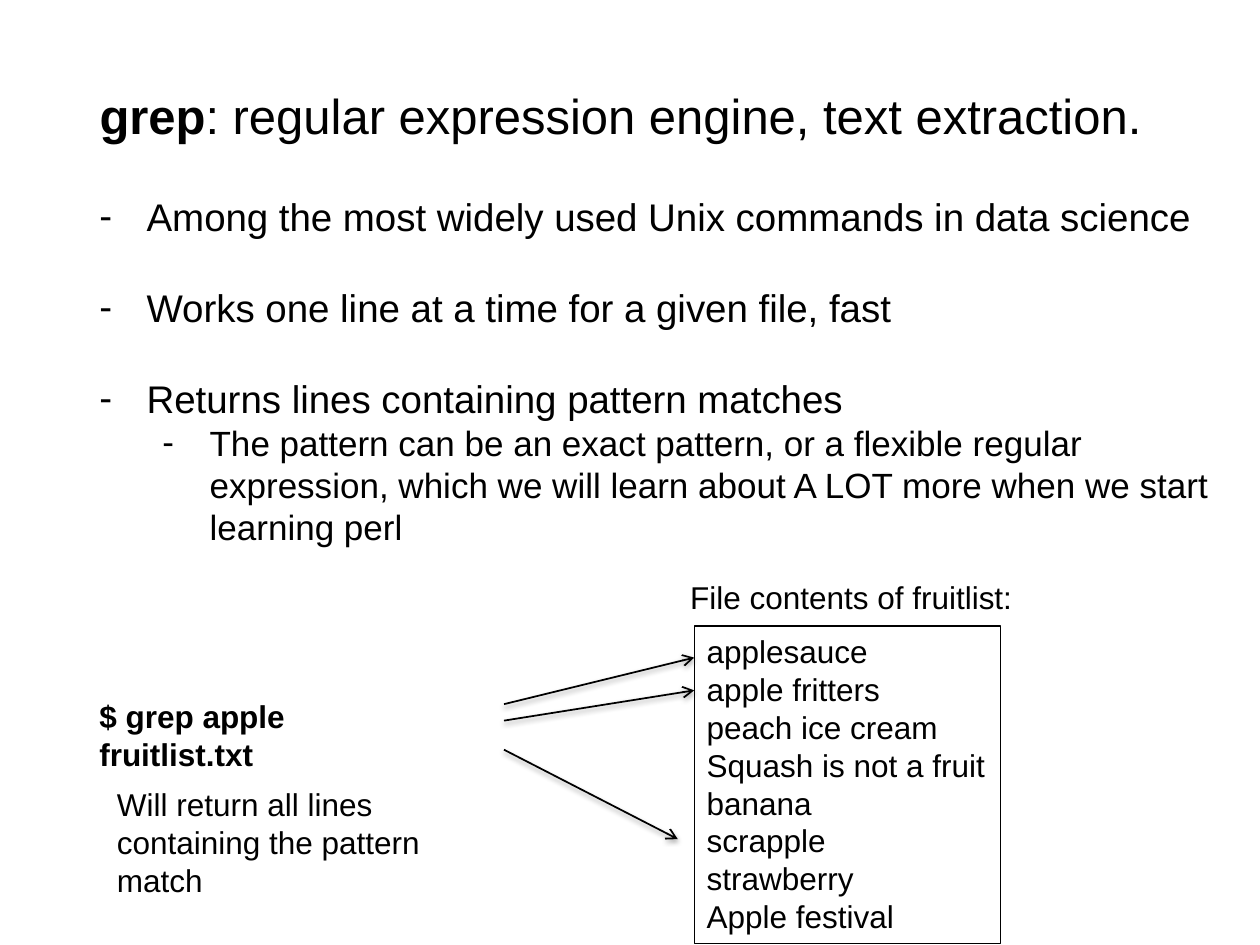
from lxml import etree
from pptx import Presentation
from pptx.dml.color import RGBColor
from pptx.enum import shapes, text
from pptx.oxml import parse_xml
from pptx.oxml.ns import nsdecls, qn
from pptx.util import Pt

BLACK = RGBColor(0, 0, 0)
FONT = "Arial"
BULLETS = [
    ("Among the most widely used Unix commands in data science", 0),
    ("Works one line at a time for a given file, fast", 0),
    ("Returns lines containing pattern matches", 0),
    ("The pattern can be an exact pattern, or a flexible regular expression, "
     "which we will learn about A LOT more when we start learning perl", 1),
]
LEVELS = [dict(size=22, margin=27, before=25.5), dict(size=20, margin=63, before=0)]
FRUITS = ["applesauce", "apple fritters", "peach ice cream", "Squash is not a fruit",
          "banana", "scrapple", "strawberry", "Apple festival"]


def set_attrs(obj, **values):
    """Set each named attribute of an object."""
    for name, value in values.items():
        setattr(obj, name, value)


def add_run(p, words, size, bold=False):
    """Add a run of black text to a paragraph."""
    r = p.add_run()
    r.text = words
    set_attrs(r.font, name=FONT, size=Pt(size), bold=bold)
    r.font.color.rgb = BLACK


def prepare_frame(sp, wrap=True):
    """Anchor a shape's text at the top and return its frame."""
    tf = sp.text_frame
    set_attrs(tf, word_wrap=wrap, auto_size=text.MSO_AUTO_SIZE.NONE,
              vertical_anchor=text.MSO_ANCHOR.TOP)
    return tf


def add_lines(sp, lines, wrap=True, size=18, bold=False):
    """Fill a shape with one left-aligned paragraph per line."""
    tf = prepare_frame(sp, wrap)
    for i, line in enumerate(lines):
        p = tf.add_paragraph() if i else tf.paragraphs[0]
        p.alignment = text.PP_ALIGN.LEFT
        add_run(p, line, size, bold)


def add_label(s, words, x, y, w, h, **style):
    """Add a text box holding one paragraph."""
    sp = s.shapes.add_textbox(Pt(x), Pt(y), Pt(w), Pt(h))
    add_lines(sp, [words], **style)


def add_title(s, x, y, w, h):
    """Place the heading with its command name in bold."""
    sp = s.shapes.title
    set_attrs(sp, left=Pt(x), top=Pt(y), width=Pt(w), height=Pt(h))
    p = prepare_frame(sp).paragraphs[0]
    p.alignment = text.PP_ALIGN.LEFT
    add_run(p, "grep", 28, True)
    add_run(p, ": regular expression engine, text extraction.", 28)


def add_bullets(s, x, y, w, h):
    """Place the dashed list with hanging indents."""
    tf = prepare_frame(s.shapes.add_textbox(Pt(x), Pt(y), Pt(w), Pt(h)))
    for i, (words, level) in enumerate(BULLETS):
        p = tf.add_paragraph() if i else tf.paragraphs[0]
        style = LEVELS[level]
        set_attrs(p, level=level, space_before=Pt(style["before"] if i else 0))
        pPr = p._p.get_or_add_pPr()
        pPr.set("marL", str(Pt(style["margin"])))
        pPr.set("indent", str(-Pt(27)))
        etree.SubElement(pPr, qn("a:buFont")).set("typeface", FONT)
        etree.SubElement(pPr, qn("a:buChar")).set("char", "-")
        add_run(p, words, style["size"])


def add_arrow(s, x1, y1, x2, y2):
    """Draw a thin arrow with a soft shadow below it."""
    cx = s.shapes.add_connector(shapes.MSO_CONNECTOR.STRAIGHT,
                                Pt(x1), Pt(y1), Pt(x2), Pt(y2))
    cx.line.width = Pt(1)
    cx.line.color.rgb = BLACK
    etree.SubElement(cx.line._get_or_add_ln(), qn("a:tailEnd")).set("type", "arrow")
    cx._element.spPr.append(parse_xml(
        f'<a:effectLst {nsdecls("a")}><a:outerShdw blurRad="{Pt(3.1)}" dist="{Pt(1.6)}" '
        'dir="5400000" rotWithShape="0"><a:srgbClr val="000000"><a:alpha val="38000"/>'
        '</a:srgbClr></a:outerShdw></a:effectLst>'))


def add_command(s, x, y, w):
    """Place the sample command and its explanation."""
    add_label(s, "$ grep apple fruitlist.txt", x, y, w, 29, bold=True)
    add_label(s, "Will return all lines containing the pattern match",
              x + 10, y + 50.4, w - 10, 73)


def add_file(s, x, y, w, h):
    """Place the outlined file contents, their caption and the match arrows."""
    add_label(s, "File contents of fruitlist:", x - 9.4, y - 31, 200, 29, wrap=False)
    sp = s.shapes.add_shape(shapes.MSO_SHAPE.RECTANGLE, Pt(x), Pt(y), Pt(w), Pt(h))
    sp.shadow.inherit = False
    sp.fill.background()
    sp.line.width = Pt(0.75)
    sp.line.color.rgb = BLACK
    add_lines(sp, FRUITS, wrap=False)
    for start, gap, end in [(44.6, 0, 18), (54, 0, 36.7), (70.6, 9.4, 121.7)]:
        add_arrow(s, x - 108.7, y + start, x - gap, y + end)


def main():
    """Build and save the slide."""
    prs = Presentation()
    set_attrs(prs, slide_width=Pt(720), slide_height=Pt(540))
    s = prs.slides.add_slide(prs.slide_layouts[5])
    add_title(s, 49.7, 45.4, 661, 40)
    add_bullets(s, 49.7, 107, 661, 217)
    add_command(s, 49.7, 394.6, 200)
    add_file(s, 396.7, 357.8, 175, 181.4)
    prs.save("out.pptx")


if __name__ == "__main__":
    main()
